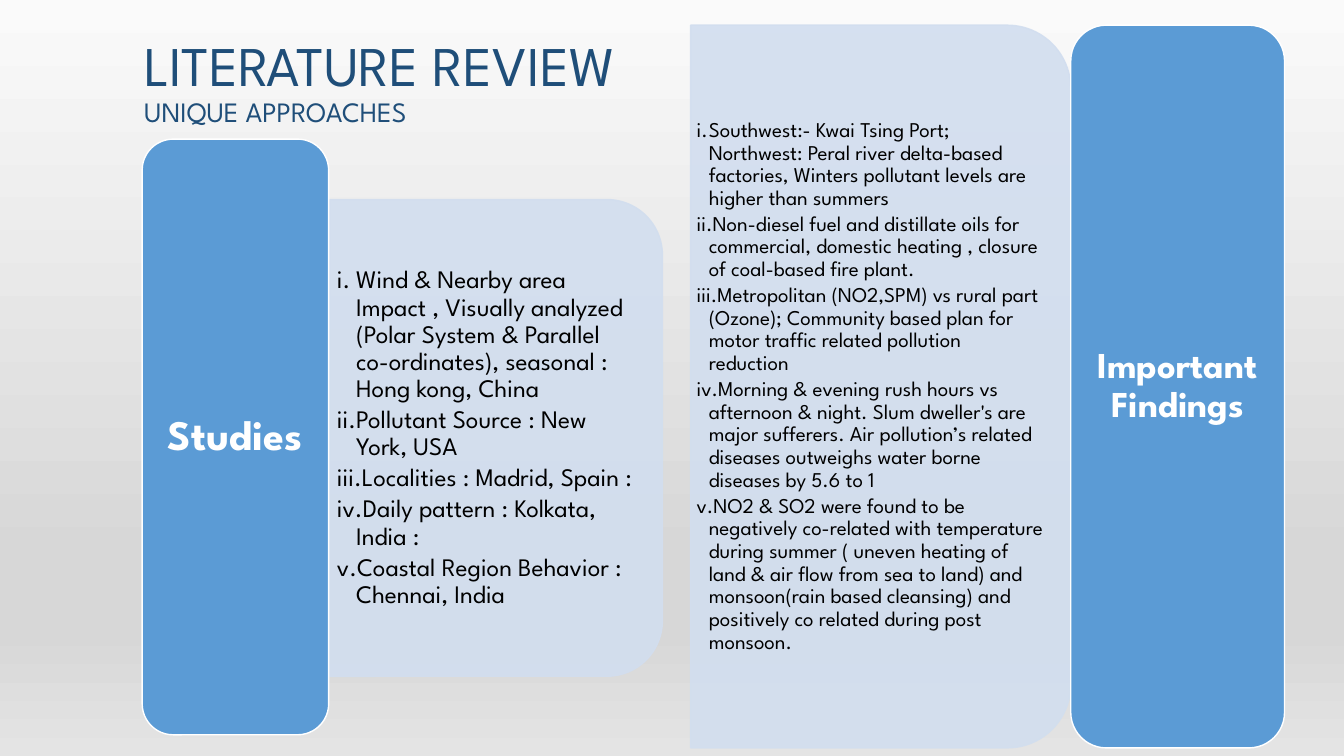
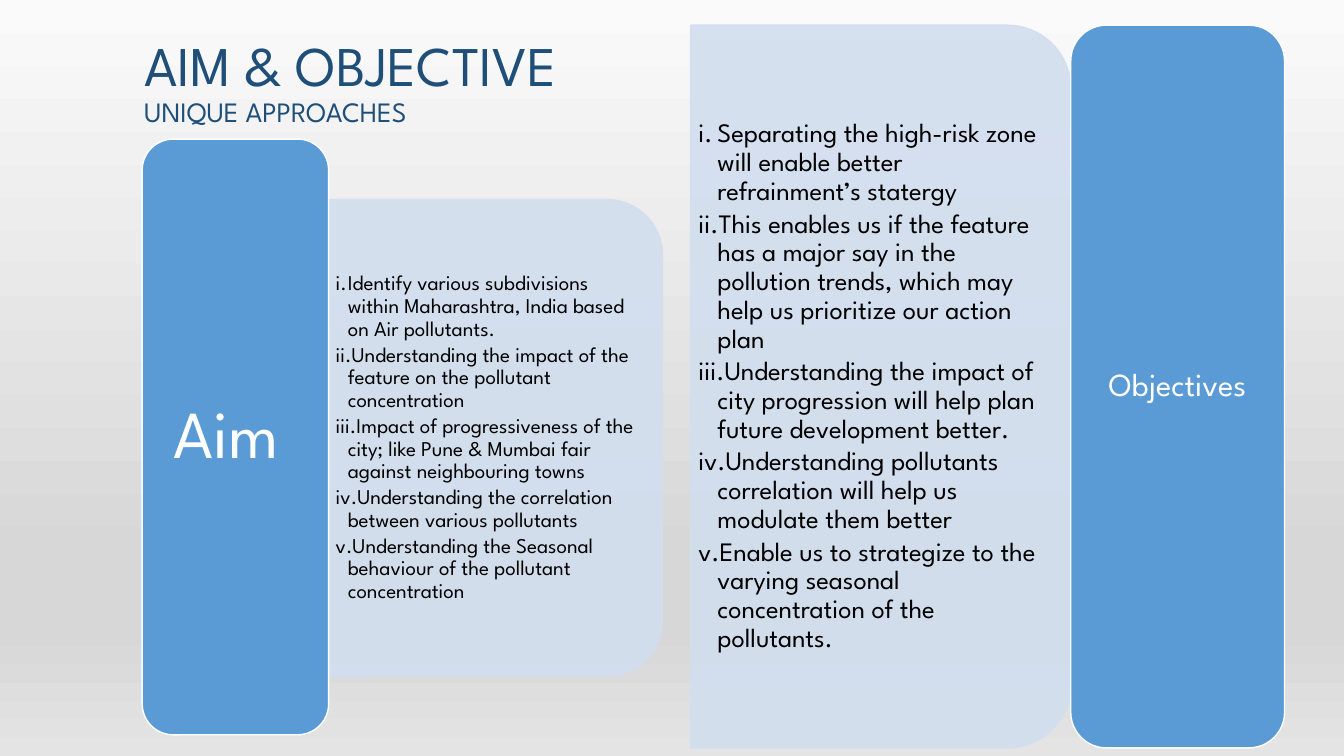
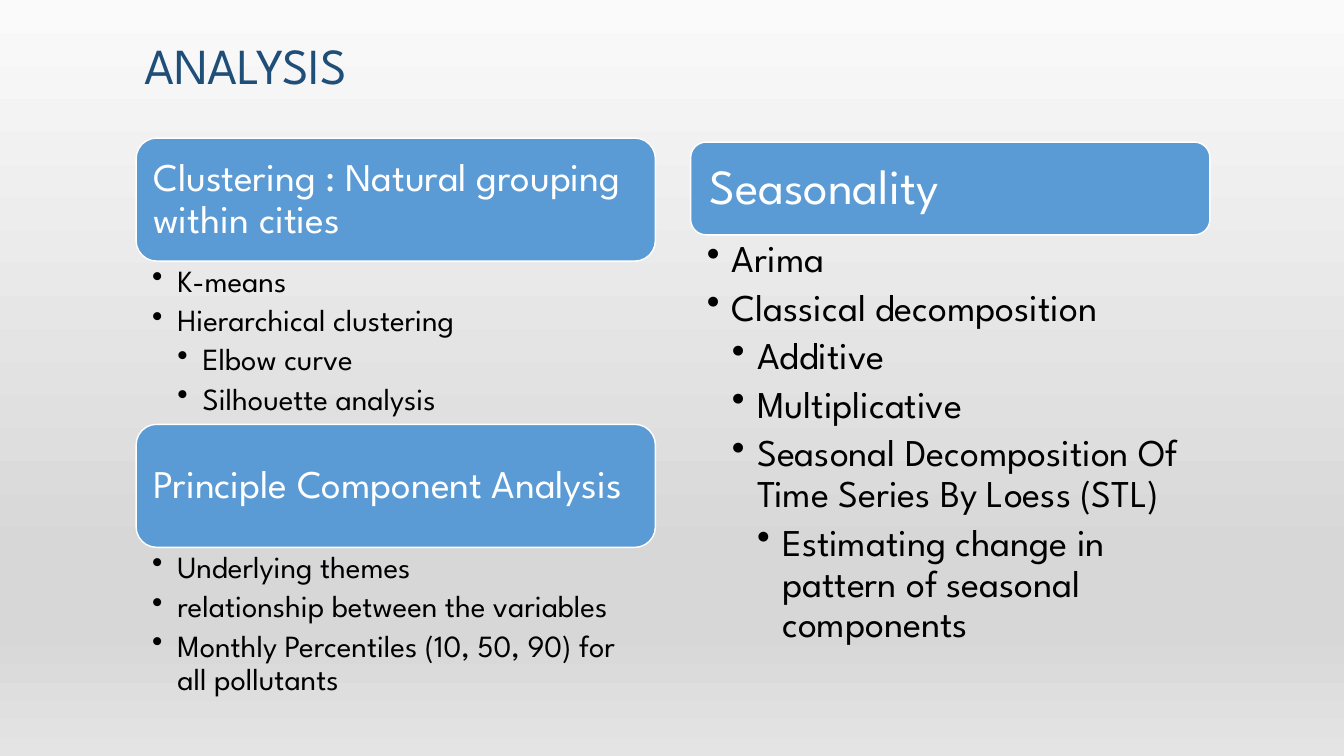
from lxml import etree
from pptx import Presentation
from pptx.dml.color import RGBColor
from pptx.enum.shapes import MSO_SHAPE
from pptx.enum.text import MSO_ANCHOR, MSO_AUTO_SIZE, PP_ALIGN
from pptx.oxml.ns import qn
from pptx.util import Inches, Pt

ROUND, TAB = MSO_SHAPE.ROUNDED_RECTANGLE, MSO_SHAPE.ROUND_2_SAME_RECTANGLE
TOP, MID, BASE = MSO_ANCHOR.TOP, MSO_ANCHOR.MIDDLE, MSO_ANCHOR.BOTTOM
LEFT, CENTER = PP_ALIGN.LEFT, PP_ALIGN.CENTER
FIXED = MSO_AUTO_SIZE.NONE

FONT = "League Spartan"
NAVY, BLUE, PALE, WHITE, BLACK = "1F4E79", "5B9BD5", "D2DEEF", "FFFFFF", "000000"
SHADES = [(0, "FAFAFA"), (74, "D7D7D7"), (83, "D7D7D7"), (100, "E4E4E4")]


def color(code):
    return RGBColor.from_string(code)


def assign(item, values):
    for name, value in values.items():
        setattr(item, name, value)


def child(parent, tag, **attrs):
    return etree.SubElement(parent, qn(tag), attrs)


class Deck:
    """Holds the shared style and the current slide."""

    def __init__(self):
        self.prs = Presentation()
        assign(self.prs, {"slide_width": Inches(13.33), "slide_height": Inches(7.5)})
        master = self.prs.slide_master
        fill = master.background.fill
        fill.gradient()
        fill.gradient_angle = 270
        stops = master.element.find(".//" + qn("a:gsLst"))
        for stop in list(stops):
            stops.remove(stop)
        for place, code in SHADES:
            child(child(stops, "a:gs", pos=str(place * 1000)), "a:srgbClr", val=code)

    def start(self, title, size, height, sub=None):
        self.slide = self.prs.slides.add_slide(self.prs.slide_layouts[5])
        box = self.slide.shapes.title
        assign(box, {"left": Inches(1.33), "top": Inches(0.3),
                     "width": Inches(10.67), "height": Inches(height)})
        self.frame(box, (0.1, 0.05, 0.1, 0.05), BASE)
        para = box.text_frame.paragraphs[0]
        self.words(para, title, size, NAVY)
        if sub:
            para.add_line_break()
            self.words(para, sub, 20, NAVY)

    def frame(self, box, pads, anchor):
        sides = ("margin_left", "margin_top", "margin_right", "margin_bottom")
        assign(box.text_frame, {"word_wrap": True, "auto_size": FIXED,
                                "vertical_anchor": anchor})
        assign(box.text_frame, {side: Inches(pad) for side, pad in zip(sides, pads)})

    def words(self, para, text, size, code, bold=False, align=LEFT):
        assign(para, {"line_spacing": 0.9, "alignment": align})
        run = para.add_run()
        run.text = text
        assign(run.font, {"name": FONT, "size": Pt(size), "bold": bold})
        run.font.color.rgb = color(code)

    def shape(self, kind, spot, fill, edge):
        item = self.slide.shapes.add_shape(kind, *map(Inches, spot))
        item.shadow.inherit = False
        item.fill.solid()
        item.fill.fore_color.rgb = color(fill)
        item.line.color.rgb = color(edge)
        item.line.width = Pt(1)
        return item

    def card(self, spot, text, size, pads, bold=False, align=LEFT):
        item = self.shape(ROUND, spot, BLUE, WHITE)
        self.frame(item, pads, MID)
        self.words(item.text_frame.paragraphs[0], text, size, WHITE, bold, align)

    def items(self, spot, rows, size, pads, anchor, indent, gap, mark):
        box = self.slide.shapes.add_textbox(*map(Inches, spot))
        self.frame(box, pads, anchor)
        text = box.text_frame
        for index, (level, line) in enumerate(rows):
            para = text.add_paragraph() if index else text.paragraphs[0]
            self.words(para, line, size, BLACK)
            assign(para, {"level": level, "space_after": Pt(size * gap)})
            props = para._p.get_or_add_pPr()
            props.set("marL", str(Inches(indent * level)))
            props.set("indent", str(-Inches(indent)))
            child(props, mark[0], **mark[1])

    def panel(self, spot, rows, size, indent):
        x, y, w, h = spot
        item = self.shape(TAB, (x + (w - h) / 2, y + (h - w) / 2, h, w), PALE, PALE)
        item.rotation = 90
        for tint in item.element.spPr.iter(qn("a:srgbClr")):
            child(tint, "a:alpha", val="90000")
        inset = w * 0.05
        pads = (size / 250, size / 500) * 2
        self.items((x, y + inset, w - inset, h - 2 * inset), [(1, row) for row in rows],
                   size, pads, MID, indent, 0.15, ("a:buAutoNum", {"type": "romanLcPeriod"}))

    def pair(self, left, right):
        places = (((3.27, 1.98, 3.3, 4.73), (1.41, 1.38, 1.85, 5.91)),
                  ((6.85, 0.25, 3.77, 7.17), (10.62, 0.25, 2.12, 7.17)))
        for (area, tower), (head, size, bold, shift, rows, small, indent) in zip(
                places, (left, right)):
            self.panel(area, rows, small, indent)
            x, y = size / 250, size / 500
            self.card(tower, head, size, (x - shift, y, x + shift, y), bold, CENTER)

    def topic(self, spot, head, size, rows, small, depth):
        x, y, w, h = spot
        self.card(spot, head, size, (size / 250,) * 4)
        pads = (0.16, small / 500, small / 100, small / 500)
        self.items((x, y + h, w, depth), rows, small, pads, TOP, 0.25, 0.2,
                   ("a:buChar", {"char": "•"}))


STUDIES = [
    "Wind & Nearby area Impact , Visually analyzed (Polar System & Parallel "
    "co-ordinates), seasonal : Hong kong, China",
    "Pollutant Source : New York, USA",
    "Localities : Madrid, Spain :",
    "Daily pattern : Kolkata, India :",
    "Coastal Region Behavior : Chennai, India",
]
FINDINGS = [
    "Southwest:- Kwai Tsing Port; Northwest: Peral river delta-based factories, "
    "Winters pollutant levels are higher than summers",
    "Non-diesel fuel and distillate oils for commercial, domestic heating , "
    "closure of coal-based fire plant.",
    "Metropolitan (NO2,SPM) vs rural part (Ozone); Community based plan for "
    "motor traffic related pollution reduction",
    "Morning & evening rush hours vs afternoon & night. Slum dweller's are major "
    "sufferers. Air pollution’s related diseases outweighs water borne diseases by 5.6 to 1",
    "NO2 & SO2 were found to be negatively co-related with temperature during summer "
    "( uneven heating of land & air flow from sea to land) and monsoon(rain based "
    "cleansing) and positively co related during post monsoon.",
]
AIMS = [
    "Identify various subdivisions within Maharashtra, India based on Air pollutants.",
    "Understanding the impact of the feature on the pollutant concentration",
    "Impact of progressiveness of the city; like Pune & Mumbai fair against "
    "neighbouring towns",
    "Understanding the correlation between various pollutants",
    "Understanding the Seasonal behaviour of the pollutant concentration",
]
GOALS = [
    "Separating the high-risk zone will enable better refrainment’s statergy",
    "This enables us if the feature has a major say in the pollution trends, which "
    "may help us prioritize our action plan",
    "Understanding the impact of city progression will help plan future "
    "development better.",
    "Understanding pollutants correlation will help us modulate them better",
    "Enable us to strategize to the varying seasonal concentration of the pollutants.",
]
CLUSTERS = [(1, "K-means"), (1, "Hierarchical clustering"), (2, "Elbow curve"),
            (2, "Silhouette analysis")]
THEMES = [(1, "Underlying themes"), (1, "relationship between the variables"),
          (1, "Monthly Percentiles (10, 50, 90) for all pollutants")]
SEASONS = [(1, "Arima"), (1, "Classical decomposition"), (2, "Additive"),
           (2, "Multiplicative"),
           (2, "Seasonal Decomposition Of Time Series By Loess (STL)"),
           (3, "Estimating change in pattern of seasonal components")]


def main():
    deck = Deck()
    deck.start("LITERATURE REVIEW", 40, 1.03, "UNIQUE APPROACHES")
    deck.pair(("Studies", 30, True, 0, STUDIES, 18, 0.19),
              ("Important Findings", 26, True, 0, FINDINGS, 15, 0.12))

    deck.start("AIM & OBJECTIVE", 40, 1.03, "UNIQUE APPROACHES")
    deck.pair(("Aim", 48, False, 0.09, AIMS, 15, 0.12),
              ("Objectives", 23, False, 0, GOALS, 19, 0.19))

    deck.start("ANALYSIS", 36, 0.7)
    deck.topic((1.35, 1.37, 5.15, 1.22), "Clustering : Natural grouping within cities",
               28, CLUSTERS, 22, 1.62)
    deck.topic((1.35, 4.21, 5.15, 1.22), "Principle Component Analysis",
               28, THEMES, 22, 1.87)
    deck.topic((6.85, 1.41, 5.15, 0.92), "Seasonality", 35, SEASONS, 27, 4.99)
    deck.prs.save("out.pptx")


if __name__ == "__main__":
    main()
